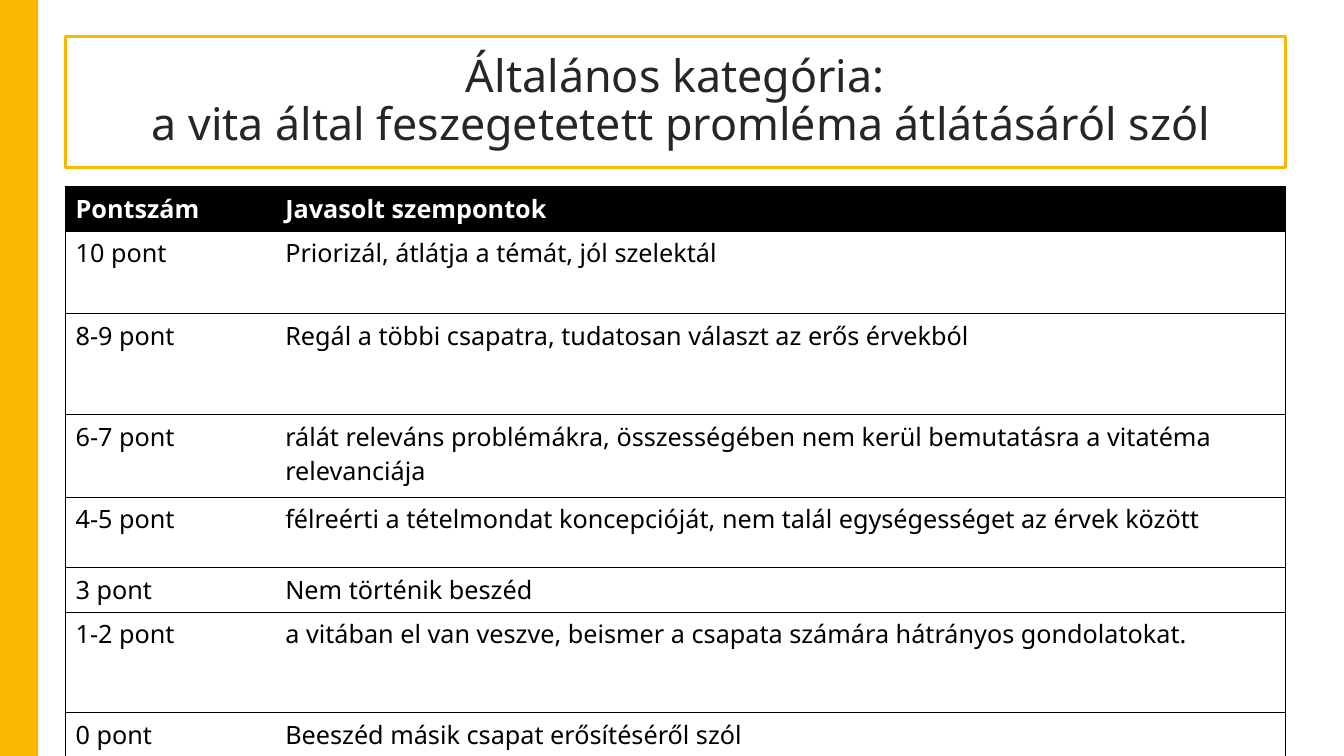
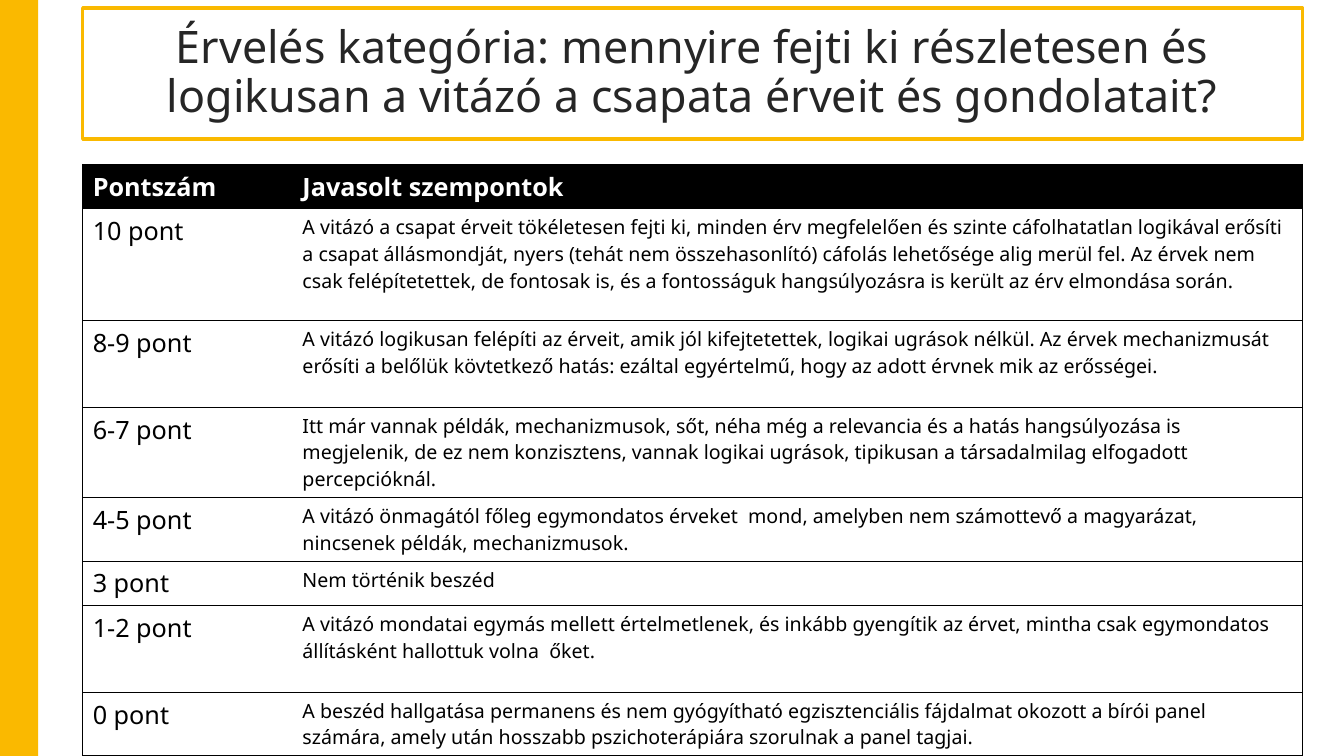
from dataclasses import dataclass

from lxml.etree import SubElement
from pptx import Presentation
from pptx.dml.color import RGBColor
from pptx.enum.shapes import MSO_SHAPE as Shape
from pptx.enum.text import MSO_ANCHOR as Anchor, MSO_AUTO_SIZE as AutoSize, PP_ALIGN as Align
from pptx.oxml.ns import qn
from pptx.util import Inches, Pt

COLORS = {
    "accent": "FAB900",
    "title": "262626",
    "ink": "000000",
    "paper": "FFFFFF",
}
FONT = "Noto Sans"
CONTENT_WIDTH = 12.1
TITLE_HEIGHT = 1.3
TITLE_INSET = 0.2
COLUMN_WIDTHS = (2.08, 10.02)
HEADINGS = ("Pontszám", "Javasolt szempontok")
SCORES = ("10 pont", "8-9 pont", "6-7 pont", "4-5 pont", "3 pont", "1-2 pont", "0 pont")
SCORE_SIZE = 18


@dataclass(frozen=True)
class Rubric:
    """One scoring category: its title, placement and criteria by score."""
    title_lines: tuple[str, ...]
    left: float
    title_top: float
    table_top: float
    row_heights: tuple[float, ...]
    criteria_size: int
    criteria: tuple[str, ...]


RUBRICS = (
    Rubric(
        title_lines=("Általános kategória:", " a vita által feszegetetett promléma átlátásáról szól"),
        left=0.65,
        title_top=0.36,
        table_top=1.85,
        row_heights=(0.4, 0.82, 1, 0.82, 0.7, 0.4, 1, 0.44),
        criteria_size=18,
        criteria=(
            "Priorizál, átlátja a témát, jól szelektál",
            "Regál a többi csapatra, tudatosan választ az erős érvekból",
            "rálát releváns problémákra, összességében nem kerül bemutatásra a vitatéma relevanciája",
            "félreérti a tételmondat koncepcióját, nem talál egységességet az érvek között",
            "Nem történik beszéd",
            "a vitában el van veszve, beismer a csapata számára hátrányos gondolatokat.",
            "Beeszéd másik csapat erősítéséről szól",
        ),
    ),
    Rubric(
        title_lines=("Érvelés kategória: mennyire fejti ki részletesen és logikusan a vitázó "
                     "a csapata érveit és gondolatait?",),
        left=0.82,
        title_top=0.08,
        table_top=1.63,
        row_heights=(0.34, 1.11, 0.86, 0.86, 0.6, 0.34, 0.86, 0.6),
        criteria_size=14,
        criteria=(
            "A vitázó a csapat érveit tökéletesen fejti ki, minden érv megfelelően és szinte "
            "cáfolhatatlan logikával erősíti a csapat állásmondját, nyers (tehát nem "
            "összehasonlító) cáfolás lehetősége alig merül fel. Az érvek nem csak "
            "felépítetettek, de fontosak is, és a fontosságuk hangsúlyozásra is került az érv "
            "elmondása során.",
            "A vitázó logikusan felépíti az érveit, amik jól kifejtetettek, logikai ugrások "
            "nélkül. Az érvek mechanizmusát erősíti a belőlük kövtetkező hatás: ezáltal "
            "egyértelmű, hogy az adott érvnek mik az erősségei.",
            "Itt már vannak példák, mechanizmusok, sőt, néha még a relevancia és a hatás "
            "hangsúlyozása is megjelenik, de ez nem konzisztens, vannak logikai ugrások, "
            "tipikusan a társadalmilag elfogadott percepcióknál.",
            "A vitázó önmagától főleg egymondatos érveket  mond, amelyben nem számottevő a "
            "magyarázat, nincsenek példák, mechanizmusok.",
            "Nem történik beszéd",
            "A vitázó mondatai egymás mellett értelmetlenek, és inkább gyengítik az érvet, "
            "mintha csak egymondatos állításként hallottuk volna  őket.",
            "A beszéd hallgatása permanens és nem gyógyítható egzisztenciális fájdalmat okozott "
            "a bírói panel számára, amely után hosszabb pszichoterápiára szorulnak a panel "
            "tagjai.",
        ),
    ),
)


def rgb(name: str) -> RGBColor:
    """Look up a named colour."""
    return RGBColor.from_string(COLORS[name])


def add_run(paragraph, text: str, size: int, color: str, bold: bool = False) -> None:
    """Append one formatted run."""
    run = paragraph.add_run()
    run.text = text
    run.font.name = FONT
    run.font.size = Pt(size)
    run.font.bold = bold
    run.font.color.rgb = rgb(color)


def add_master_band(slide, master) -> None:
    """Draw the side band and move it to the back of the master."""
    band = slide.shapes.add_shape(Shape.RECTANGLE, Inches(-0.02), Inches(0), Inches(0.4), Inches(7.52))
    band.shadow.inherit = False
    band.fill.solid()
    band.fill.fore_color.rgb = rgb("accent")
    band.line.fill.background()
    band.element.find(".//" + qn("p:cNvPr")).set("id", "100")
    master.shapes.element.insert(2, band.element)


def format_title(slide, rubric: Rubric) -> None:
    """Place the framed title and fill it line by line."""
    title = slide.shapes.title
    title.left, title.top = Inches(rubric.left), Inches(rubric.title_top)
    title.width, title.height = Inches(CONTENT_WIDTH), Inches(TITLE_HEIGHT)
    title.fill.background()
    title.line.color.rgb = rgb("accent")
    title.line.width = Pt(2.5)
    frame = title.text_frame
    frame.word_wrap = True
    frame.auto_size = AutoSize.NONE
    frame.vertical_anchor = Anchor.MIDDLE
    frame.margin_left = frame.margin_right = Inches(TITLE_INSET)
    frame.margin_top = frame.margin_bottom = Inches(TITLE_INSET)
    paragraph = frame.paragraphs[0]
    paragraph.alignment = Align.CENTER
    paragraph.line_spacing = 0.9
    for index, line in enumerate(rubric.title_lines):
        if index:
            paragraph.add_line_break()
        add_run(paragraph, line, 32, "title")


def set_borders(cell, visible: str) -> None:
    """Rule the given sides (letters of LRTB) and clear the others."""
    properties = cell._tc.get_or_add_tcPr()
    for side in "LRTB":
        border = SubElement(properties, qn(f"a:ln{side}"), w=str(Pt(0.5)))
        if side in visible:
            fill = SubElement(border, qn("a:solidFill"))
            SubElement(fill, qn("a:srgbClr"), val=COLORS["ink"])
        else:
            SubElement(border, qn("a:noFill"))


def add_score_table(slide, rubric: Rubric) -> None:
    """Add the table of scores and criteria."""
    rows = (HEADINGS, *zip(SCORES, rubric.criteria))
    table = slide.shapes.add_table(
        len(rows), len(HEADINGS), Inches(rubric.left), Inches(rubric.table_top),
        Inches(CONTENT_WIDTH), Inches(sum(rubric.row_heights))).table
    table.horz_banding = False
    for column, width in zip(table.columns, COLUMN_WIDTHS):
        column.width = Inches(width)
    for row_index, (texts, height) in enumerate(zip(rows, rubric.row_heights)):
        table.rows[row_index].height = Inches(height)
        is_heading = row_index == 0
        for column_index, text in enumerate(texts):
            cell = table.cell(row_index, column_index)
            set_borders(cell, "RTB" if column_index else "LTB")
            if is_heading:
                cell.fill.solid()
                cell.fill.fore_color.rgb = rgb("ink")
            else:
                cell.fill.background()
            is_criterion = column_index == 1 and not is_heading
            size = rubric.criteria_size if is_criterion else SCORE_SIZE
            add_run(cell.text_frame.paragraphs[0], text, size,
                    "paper" if is_heading else "ink", bold=is_heading)


def build() -> None:
    """Build and save the presentation."""
    deck = Presentation()
    deck.slide_width, deck.slide_height = Inches(13.33), Inches(7.5)
    background = deck.slide_master.background.fill
    background.solid()
    background.fore_color.rgb = rgb("paper")
    title_only = deck.slide_layouts.get_by_name("Title Only")
    for index, rubric in enumerate(RUBRICS):
        slide = deck.slides.add_slide(title_only)
        if index == 0:
            add_master_band(slide, deck.slide_master)
        format_title(slide, rubric)
        add_score_table(slide, rubric)
    deck.save("out.pptx")


build()
